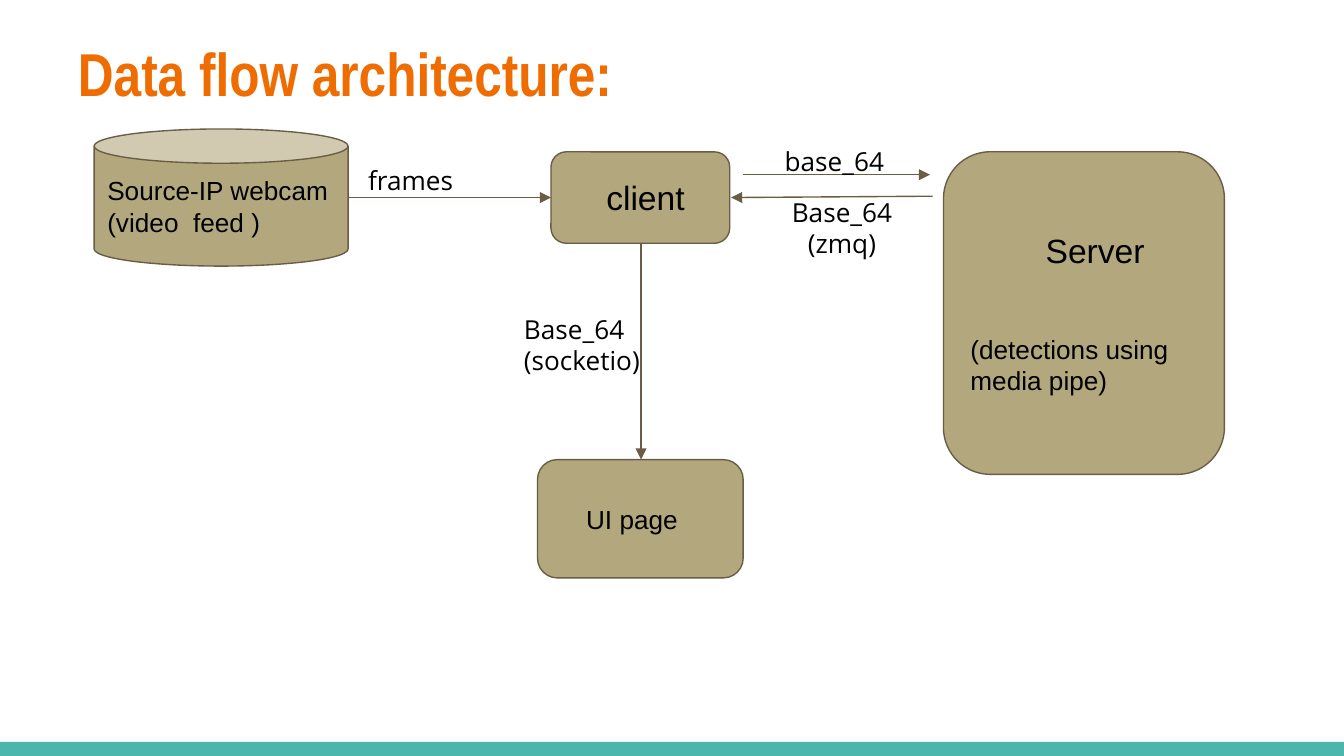
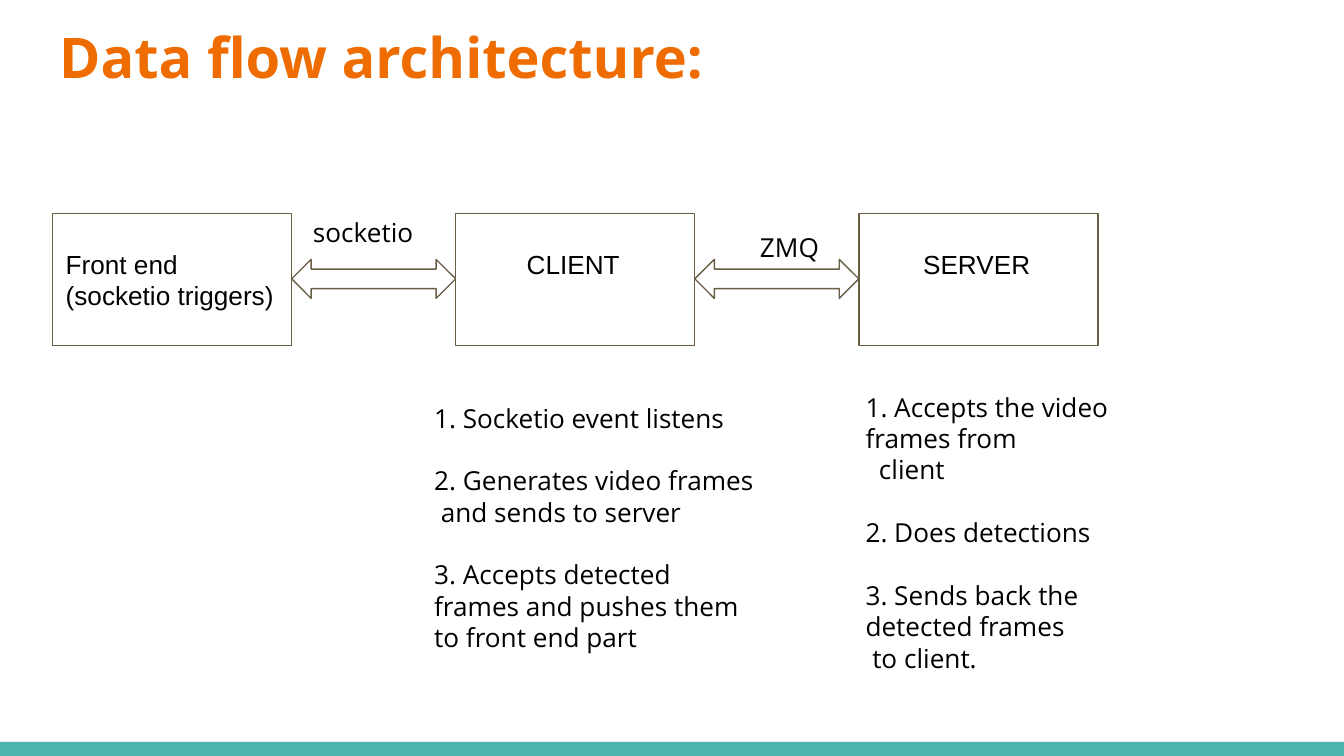
"""Build two slides on the data flow architecture of a video detection system."""
from itertools import zip_longest

from lxml.etree import SubElement
from pptx import Presentation
from pptx.dml.color import RGBColor
from pptx.enum.shapes import MSO_CONNECTOR, MSO_SHAPE
from pptx.enum.text import MSO_ANCHOR, MSO_AUTO_SIZE, PP_ALIGN
from pptx.oxml.ns import qn
from pptx.util import Inches, Pt

ORANGE, TEAL, KHAKI, BROWN = "EF6C00", "4DB6AC", "B3A77D", "695D46"
BLACK, WHITE = "000000", "FFFFFF"
LEFT, CENTER = PP_ALIGN.LEFT, PP_ALIGN.CENTER
HEADING = "Data flow architecture:"
LINE_GAP = 16.8


def write(shape, lines, font="Open Sans", size=14, color=BLACK, align=LEFT,
          anchor=MSO_ANCHOR.TOP, bold=False, indents=()):
    frame = shape.text_frame
    frame.text = "\n".join(lines)
    frame.word_wrap = True
    frame.auto_size = MSO_AUTO_SIZE.NONE
    frame.vertical_anchor = anchor
    frame.margin_left = frame.margin_right = Inches(0.1)
    frame.margin_top = frame.margin_bottom = Inches(0.1)
    for paragraph, indent in zip_longest(frame.paragraphs, indents, fillvalue=0):
        paragraph.alignment = align
        paragraph.space_before = Pt(0)
        paragraph.font.name = font
        paragraph.font.size = Pt(size)
        paragraph.font.bold = bold
        paragraph.font.color.rgb = RGBColor.from_string(color)
        properties = paragraph._p.get_or_add_pPr()
        properties.set("marL", str(Inches(indent)))
        properties.set("indent", "0")
        properties.insert_element_before(
            properties.makeelement(qn("a:buNone"), {}), "a:tabLst", "a:defRPr", "a:extLst")
    return frame


def add_block(slide, kind, box, fill, outline=BROWN):
    shape = slide.shapes.add_shape(kind, *map(Inches, box))
    shape.shadow.inherit = False
    shape.fill.solid()
    shape.fill.fore_color.rgb = RGBColor.from_string(fill)
    if outline:
        shape.line.color.rgb = RGBColor.from_string(outline)
        shape.line.width = Pt(0.75)
    else:
        shape.line.fill.background()
    return shape


presentation = Presentation()
presentation.slide_width = Inches(10)
presentation.slide_height = Inches(10) * 9 // 16
flow_slide = presentation.slides.add_slide(presentation.slide_layouts[5])
roles_slide = presentation.slides.add_slide(presentation.slide_layouts[3])

band = add_block(flow_slide, MSO_SHAPE.RECTANGLE, (0, 5.52, 10, 0.11), TEAL, None)
presentation.slide_master.shapes.element.append(band.element)

titles = [
    (flow_slide, 0.48, 0.17, "Arial Narrow", 32.4),
    (roles_slide, 0.34, 0.07, "Open Sans", 30),
]
for slide, left, top, font, size in titles:
    title = slide.shapes.title
    title.left, title.top = Inches(left), Inches(top)
    title.width, title.height = Inches(9.32), Inches(0.77)
    write(title, [HEADING], font, size, ORANGE, bold=True)

nodes = [
    (MSO_SHAPE.CAN, (0.7, 0.96, 1.89, 1.02), ["Source-IP webcam", "(video  feed )"], 14, 0),
    (MSO_SHAPE.ROUNDED_RECTANGLE, (4.1, 1.13, 1.33, 0.68), ["client"], 18, 0.28),
    (MSO_SHAPE.ROUNDED_RECTANGLE, (7.02, 1.13, 2.09, 2.4),
     ["Server", "(detections using media pipe)"], 18, 0.56),
    (MSO_SHAPE.ROUNDED_RECTANGLE, (4, 3.42, 1.53, 0.88), ["UI page"], 14, 0.22),
]
for kind, box, lines, size, indent in nodes:
    node = add_block(flow_slide, kind, box, KHAKI)
    frame = write(node, lines, "Arial", size, anchor=MSO_ANCHOR.MIDDLE, indents=[indent])
    if lines[0] == "Server":
        detail = frame.paragraphs[1]
        detail.font.size = Pt(14)
        detail.space_before = Pt(2 * LINE_GAP)

arrows = [
    (2.59, 1.47, 4.1, 1.47),
    (5.53, 1.3, 6.92, 1.3),
    (6.94, 1.46, 5.44, 1.47),
    (4.77, 1.81, 4.77, 3.42),
]
for ends in arrows:
    arrow = flow_slide.shapes.add_connector(MSO_CONNECTOR.STRAIGHT, *map(Inches, ends))
    arrow.line.color.rgb = RGBColor.from_string(BROWN)
    arrow.line.width = Pt(0.75)
    properties = arrow.element.spPr
    SubElement(properties.find(qn("a:ln")), qn("a:tailEnd"), type="triangle")
    SubElement(properties, qn("a:effectLst"))

labels = [
    (flow_slide, (2.64, 1.12, 1.09, 0.44), ["frames"], LEFT),
    (flow_slide, (5.74, 0.98, 0.97, 0.44), ["base_64"], LEFT),
    (flow_slide, (5.72, 1.36, 1.09, 0.67), ["Base_64", "(zmq)"], CENTER),
    (flow_slide, (3.8, 2.23, 1.39, 0.67), ["Base_64", "(socketio)"], LEFT),
    (roles_slide, (2.23, 1.51, 1.19, 0.44), ["socketio"], LEFT),
    (roles_slide, (5.51, 1.62, 0.73, 0.44), ["ZMQ"], CENTER),
]
for slide, box, lines, align in labels:
    write(slide.shapes.add_textbox(*map(Inches, box)), lines, align=align)

parts = [
    (["Front end", "(socketio triggers)"], 0),
    (["CLIENT"], 0.43),
    (["SERVER"], 0.38),
]
for index, (lines, indent) in enumerate(parts):
    left = 0.39 + index * 3
    part = add_block(roles_slide, MSO_SHAPE.RECTANGLE, (left, 1.59, 1.78, 0.98), WHITE)
    frame = write(part, lines, "Arial", anchor=MSO_ANCHOR.MIDDLE, indents=[indent])
    if len(lines) == 1:
        frame.margin_bottom = Inches(0.33)
    if index:
        add_block(roles_slide, MSO_SHAPE.LEFT_RIGHT_ARROW,
                  (left - 1.22, 1.93, 1.22, 0.29), WHITE)

duties = [
    (1, (3.13, 2.89, 2.63, 2.6), [
        ("1. Socketio event listens", 0),
        ("2. Generates video frames", 0),
        ("and sends to server", 0.05),
        ("3. Accepts detected frames and pushes them to front end part", 0),
    ]),
    (2, (6.34, 2.81, 2.48, 2.32), [
        ("1. Accepts the video frames from", 0),
        ("client", 0.1),
        ("2. Does detections", 0),
        ("3. Sends back the detected frames", 0),
        ("to client.", 0.05),
    ]),
]
for number, box, items in duties:
    body = roles_slide.placeholders[number]
    body.left, body.top, body.width, body.height = map(Inches, box)
    lines, indents = zip(*items)
    frame = write(body, lines, indents=indents)
    for paragraph, indent in list(zip(frame.paragraphs, indents))[1:]:
        if not indent:
            paragraph.space_before = Pt(LINE_GAP)

presentation.save("out.pptx")
